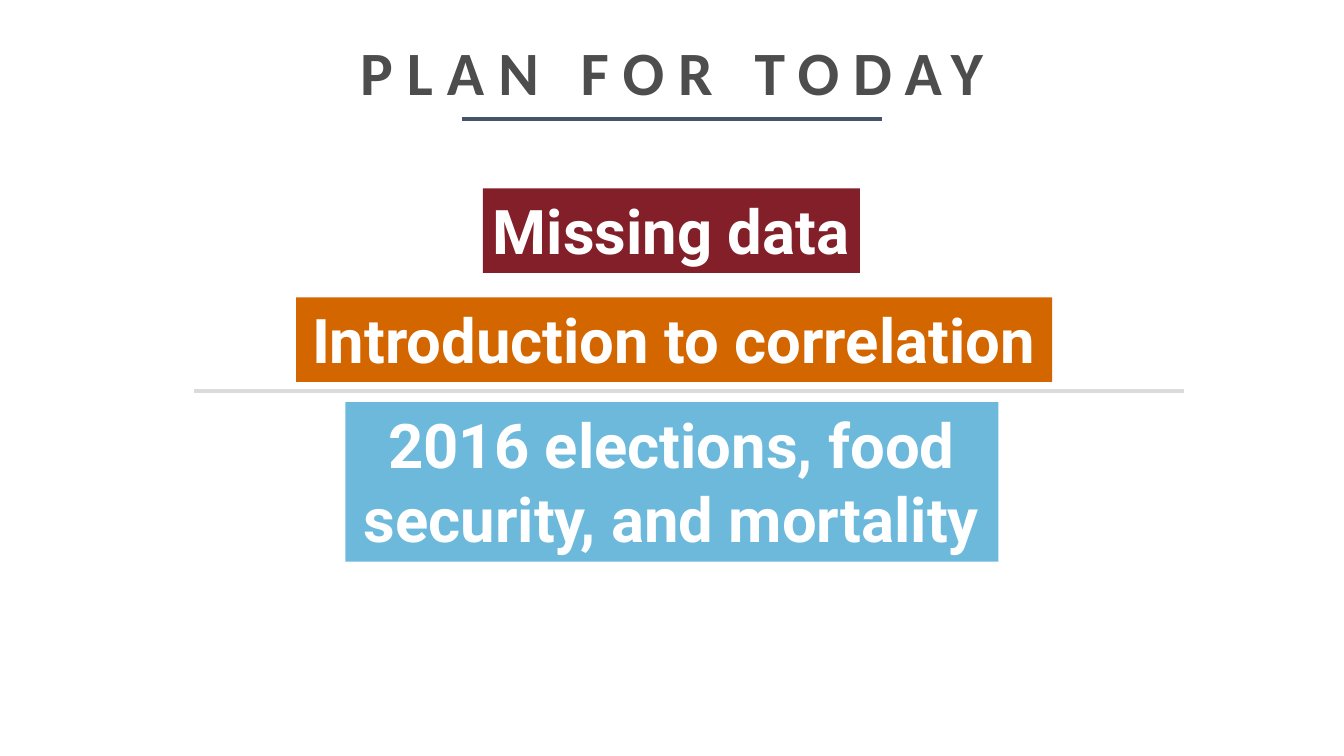
from pptx import Presentation
from pptx import util as u
from pptx.dml.color import RGBColor
from pptx.enum import shapes, text
from pptx.oxml.ns import qn
from lxml import etree

WHITE = RGBColor(0xFF, 0xFF, 0xFF)
GRAY = RGBColor(0x4D, 0x4D, 0x4D)
NAVY = RGBColor(0x44, 0x54, 0x6A)
SILVER = RGBColor(0xDB, 0xDB, 0xDB)
MAROON = RGBColor(0x82, 0x1F, 0x29)
ORANGE = RGBColor(0xD4, 0x66, 0x00)
SKY = RGBColor(0x6C, 0xB9, 0xDC)


def add_text(tf, words, font, color):
    tf.word_wrap = True
    p = tf.paragraphs[0]
    p.alignment = text.PP_ALIGN.CENTER
    r = p.add_run()
    r.text = words
    r.font.name = font
    r.font.size = u.Pt(44)
    r.font.bold = True
    r.font.color.rgb = color
    return p, r


prs = Presentation()
prs.slide_width, prs.slide_height = u.Pt(960), u.Pt(540)
s = prs.slides.add_slide(prs.slide_layouts[6])

title = s.shapes.add_textbox(u.Pt(66), u.Pt(12.24), u.Pt(828), u.Pt(72))
title.text_frame.vertical_anchor = text.MSO_ANCHOR.MIDDLE
p, r = add_text(title.text_frame, "PLAN FOR TODAY", "Calibri", GRAY)
p.line_spacing = 1.1
r.font._element.set("spc", "1000")

topics = [
    ("Missing data", MAROON, 345, 134.5, 269.3, 60.5),
    ("Introduction to correlation", ORANGE, 211.5, 212.4, 540, 60.5),
    ("2016 elections, food security, and mortality", SKY, 246.8, 287.2, 466.4, 114),
]
for words, fill, x, y, w, h in topics:
    sp = s.shapes.add_shape(shapes.MSO_SHAPE.RECTANGLE, u.Pt(x), u.Pt(y), u.Pt(w), u.Pt(h))
    sp.shadow.inherit = False
    sp.fill.solid()
    sp.fill.fore_color.rgb = fill
    sp.line.fill.background()
    tf = sp.text_frame
    tf.vertical_anchor = text.MSO_ANCHOR.TOP
    tf.auto_size = text.MSO_AUTO_SIZE.SHAPE_TO_FIT_TEXT
    add_text(tf, words, "Roboto", WHITE)

for color, x1, x2, y in [(NAVY, 330, 630, 85), (SILVER, 138.5, 846, 279.2)]:
    rule = s.shapes.add_connector(
        shapes.MSO_CONNECTOR.STRAIGHT, u.Pt(x1), u.Pt(y), u.Pt(x2), u.Pt(y))
    rule.line.color.rgb = color
    rule.line.width = u.Pt(3)
    etree.SubElement(rule._element.spPr, qn("a:effectLst"))

prs.save("out.pptx")
